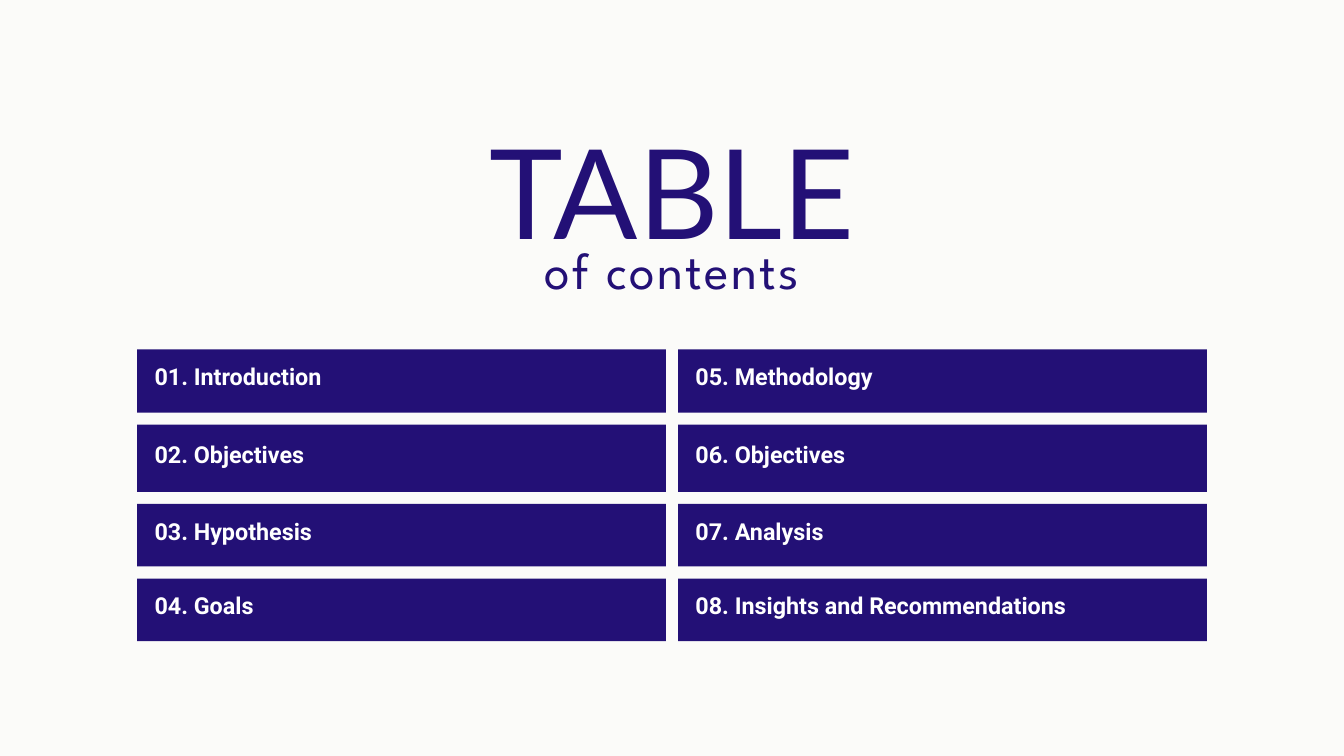
from dataclasses import dataclass

from pptx import Presentation
from pptx.dml.color import RGBColor
from pptx.enum.shapes import MSO_SHAPE
from pptx.enum.text import MSO_ANCHOR, MSO_AUTO_SIZE, PP_ALIGN
from pptx.util import Inches, Pt


@dataclass(frozen=True)
class TextStyle:
    font: str
    size: float
    line: float
    color: RGBColor
    alignment: PP_ALIGN
    bold: bool = False
    tracking: float = 0


@dataclass(frozen=True)
class Theme:
    paper = RGBColor(0xFB, 0xFB, 0xF9)
    indigo = RGBColor(0x23, 0x10, 0x76)
    white = RGBColor(0xFF, 0xFF, 0xFF)
    title = TextStyle("Lato", 133.6, 187.1, indigo, PP_ALIGN.CENTER)
    subtitle = TextStyle("League Spartan", 55, 77, indigo, PP_ALIGN.CENTER, tracking=2.4)
    entry = TextStyle("Roboto", 25, 35, white, PP_ALIGN.JUSTIFY, bold=True)


THEME = Theme()
SLIDE_WIDTH, SLIDE_HEIGHT = 20, 11.25
SIDE_MARGIN = 2.04
GAP = 0.18
ROW_HEIGHTS = (0.94, 1, 0.93, 0.93)
ENTRY_INSETS = (0.26, 0.06, 0.26, 0.26)
COLUMNS = (
    ("01. Introduction", "02. Objectives", "03. Hypothesis", "04. Goals"),
    ("05. Methodology", "06. Objectives", "07. Analysis", "08. Insights and Recommendations"),
)


def write(shape, text, style, anchor=MSO_ANCHOR.TOP, insets=(0, 0, 0, 0)):
    frame = shape.text_frame
    frame.word_wrap = True
    frame.auto_size = MSO_AUTO_SIZE.NONE
    frame.vertical_anchor = anchor
    frame.margin_left, frame.margin_top, frame.margin_right, frame.margin_bottom = map(Inches, insets)
    paragraph = frame.paragraphs[0]
    paragraph.alignment = style.alignment
    paragraph.line_spacing = Pt(style.line)
    paragraph.space_before = Pt(0)
    run = paragraph.add_run()
    run.text = text
    run.font.name = style.font
    run.font.size = Pt(style.size)
    run.font.bold = style.bold
    run.font.color.rgb = style.color
    if style.tracking:
        run.font._element.set("spc", str(round(style.tracking * 100)))


def add_heading(slide, left, top, width):
    title = slide.shapes.title
    title.left, title.top = Inches(left), Inches(top)
    title.width, title.height = Inches(width), Inches(2.5)
    write(title, "TABLE", THEME.title)
    subtitle = slide.shapes.add_textbox(
        Inches(left), Inches(top + 2.06), Inches(width), Inches(1.02)
    )
    write(subtitle, "of contents", THEME.subtitle)


def add_entry(slide, left, top, width, height, text):
    bar = slide.shapes.add_shape(
        MSO_SHAPE.RECTANGLE, Inches(left), Inches(top), Inches(width), Inches(height)
    )
    bar.shadow.inherit = False
    bar.fill.solid()
    bar.fill.fore_color.rgb = THEME.indigo
    bar.line.fill.background()
    write(bar, text, THEME.entry, MSO_ANCHOR.MIDDLE, ENTRY_INSETS)


def add_contents(slide, left, top, width):
    column_width = (width - GAP * (len(COLUMNS) - 1)) / len(COLUMNS)
    for column, entries in enumerate(COLUMNS):
        entry_left = left + column * (column_width + GAP)
        entry_top = top
        for text, height in zip(entries, ROW_HEIGHTS):
            add_entry(slide, entry_left, entry_top, column_width, height, text)
            entry_top += height + GAP


def main():
    presentation = Presentation()
    presentation.slide_width = Inches(SLIDE_WIDTH)
    presentation.slide_height = Inches(SLIDE_HEIGHT)
    slide = presentation.slides.add_slide(presentation.slide_layouts[5])
    slide.background.fill.solid()
    slide.background.fill.fore_color.rgb = THEME.paper
    heading_width = 12.32
    add_heading(slide, (SLIDE_WIDTH - heading_width) / 2, 1.33, heading_width)
    add_contents(slide, SIDE_MARGIN, 5.2, SLIDE_WIDTH - 2 * SIDE_MARGIN)
    presentation.save("out.pptx")


if __name__ == "__main__":
    main()
